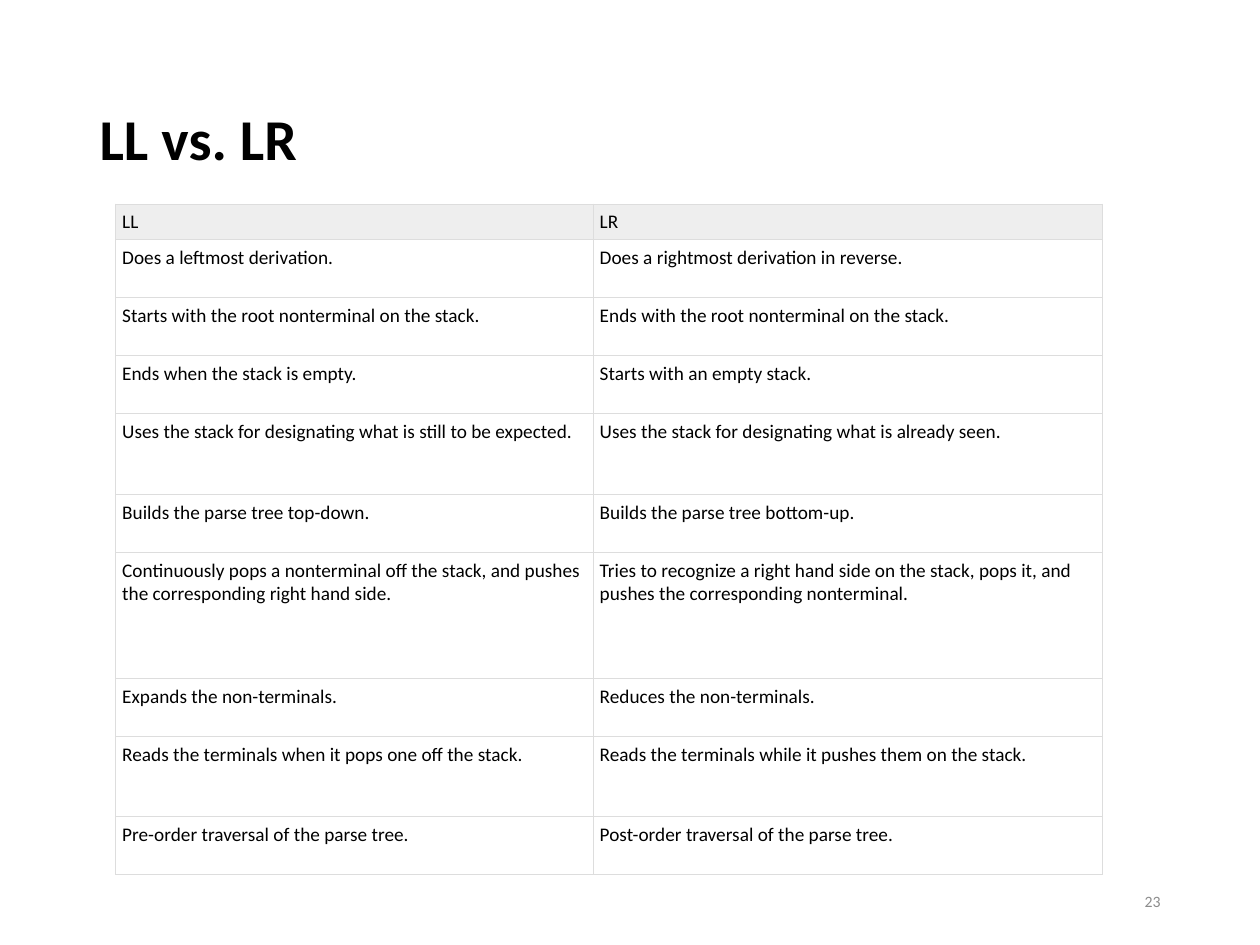
from dataclasses import dataclass

from lxml import etree
from pptx import Presentation
from pptx.dml.color import RGBColor
from pptx.enum.text import MSO_ANCHOR, MSO_AUTO_SIZE, PP_ALIGN
from pptx.oxml.ns import qn
from pptx.util import Inches, Pt

LEFT, RIGHT = PP_ALIGN.LEFT, PP_ALIGN.RIGHT
MIDDLE, TOP = MSO_ANCHOR.MIDDLE, MSO_ANCHOR.TOP
NO_FIT = MSO_AUTO_SIZE.NONE
TITLE_ONLY = 5


@dataclass(frozen=True)
class Theme:
    font: str = "Calibri"
    ink: str = "000000"
    muted: str = "8C8C8C"
    header: str = "EEEEEE"
    border: str = "DDDDDD"
    border_pt: float = 0.75
    title_pt: int = 33
    body_pt: int = 11
    number_pt: int = 9


# Row heights in grid rows
HEAD, SHORT, MEDIUM, TALL = 2.8, 4.6, 6.4, 10
ROWS = [
    (HEAD, "LL", "LR"),
    (SHORT, "Does a leftmost derivation.",
     "Does a rightmost derivation in reverse."),
    (SHORT, "Starts with the root nonterminal on the stack.",
     "Ends with the root nonterminal on the stack."),
    (SHORT, "Ends when the stack is empty.", "Starts with an empty stack."),
    (MEDIUM, "Uses the stack for designating what is still to be expected.",
     "Uses the stack for designating what is already seen."),
    (SHORT, "Builds the parse tree top-down.",
     "Builds the parse tree bottom-up."),
    (TALL, "Continuously pops a nonterminal off the stack, and pushes "
     "the corresponding right hand side.",
     "Tries to recognize a right hand side on the stack, pops it, and "
     "pushes the corresponding nonterminal."),
    (SHORT, "Expands the non-terminals.", "Reduces the non-terminals."),
    (MEDIUM, "Reads the terminals when it pops one off the stack.",
     "Reads the terminals while it pushes them on the stack."),
    (SHORT, "Pre-order traversal of the parse tree.",
     "Post-order traversal of the parse tree."),
]


class Deck:
    """Holds the theme and current slide; lengths are cells of a 100 x 75 grid."""

    def __init__(self, theme):
        self.theme = theme
        self.prs = Presentation()
        self.prs.slide_width, self.prs.slide_height = Inches(10), Inches(7.5)
        self.s = self.prs.slides.add_slide(self.prs.slide_layouts[TITLE_ONLY])

    def grid(self, *cells):
        return [round(c * self.prs.slide_width / 100) for c in cells]

    def set_text(self, tf, text, size, color, bold=False, align=LEFT):
        tf.text = text
        tf.word_wrap = True
        p = tf.paragraphs[0]
        p.alignment = align
        font = p.runs[0].font
        font.name, font.size, font.bold = self.theme.font, Pt(size), bold
        font.color.rgb = RGBColor.from_string(color)
        return p

    def title(self, text, *box):
        sp = self.s.shapes.title
        sp.left, sp.top, sp.width, sp.height = self.grid(*box)
        tf = sp.text_frame
        p = self.set_text(tf, text, self.theme.title_pt, self.theme.ink, bold=True)
        p.line_spacing = 0.9
        tf.auto_size, tf.vertical_anchor = NO_FIT, MIDDLE

    def number(self, text, *box):
        tf = self.s.shapes.add_textbox(*self.grid(*box)).text_frame
        self.set_text(tf, text, self.theme.number_pt, self.theme.muted, align=RIGHT)
        tf.vertical_anchor = MIDDLE

    def table(self, rows, left, top, widths, inset):
        heights = [row[0] for row in rows]
        frame = self.s.shapes.add_table(
            len(rows), len(widths),
            *self.grid(left, top, sum(widths), sum(heights)))
        table = frame.table
        for column, width in zip(table.columns, self.grid(*widths)):
            column.width = width
        for row, height in zip(table.rows, self.grid(*heights)):
            row.height = height
        for i, (_, *texts) in enumerate(rows):
            for j, text in enumerate(texts):
                self.cell(table.cell(i, j), text, inset, is_header=i == 0)

    def cell(self, cell, text, inset, is_header):
        self.set_text(cell.text_frame, text, self.theme.body_pt, self.theme.ink)
        cell.vertical_anchor = TOP
        margin, = self.grid(inset)
        cell.margin_left = cell.margin_right = margin
        cell.margin_top = cell.margin_bottom = margin
        # Borders come before the fill in the cell properties
        tc_pr = cell._tc.get_or_add_tcPr()
        for side in ("a:lnL", "a:lnR", "a:lnT", "a:lnB"):
            ln = etree.SubElement(tc_pr, qn(side), w=str(Pt(self.theme.border_pt)))
            fill = etree.SubElement(ln, qn("a:solidFill"))
            etree.SubElement(fill, qn("a:srgbClr"), val=self.theme.border)
        if is_header:
            cell.fill.solid()
            cell.fill.fore_color.rgb = RGBColor.from_string(self.theme.header)
        else:
            cell.fill.background()


def main():
    deck = Deck(Theme())
    # Heading and slide number
    deck.title("LL vs. LR", 6.9, 4, 86.2, 14.5)
    deck.number("23", 70.6, 69.5, 22.5, 4)
    # Comparison table
    deck.table(ROWS, left=9.2, top=16.2, widths=(37.9, 40.4), inset=0.5)
    deck.prs.save("out.pptx")


if __name__ == "__main__":
    main()
